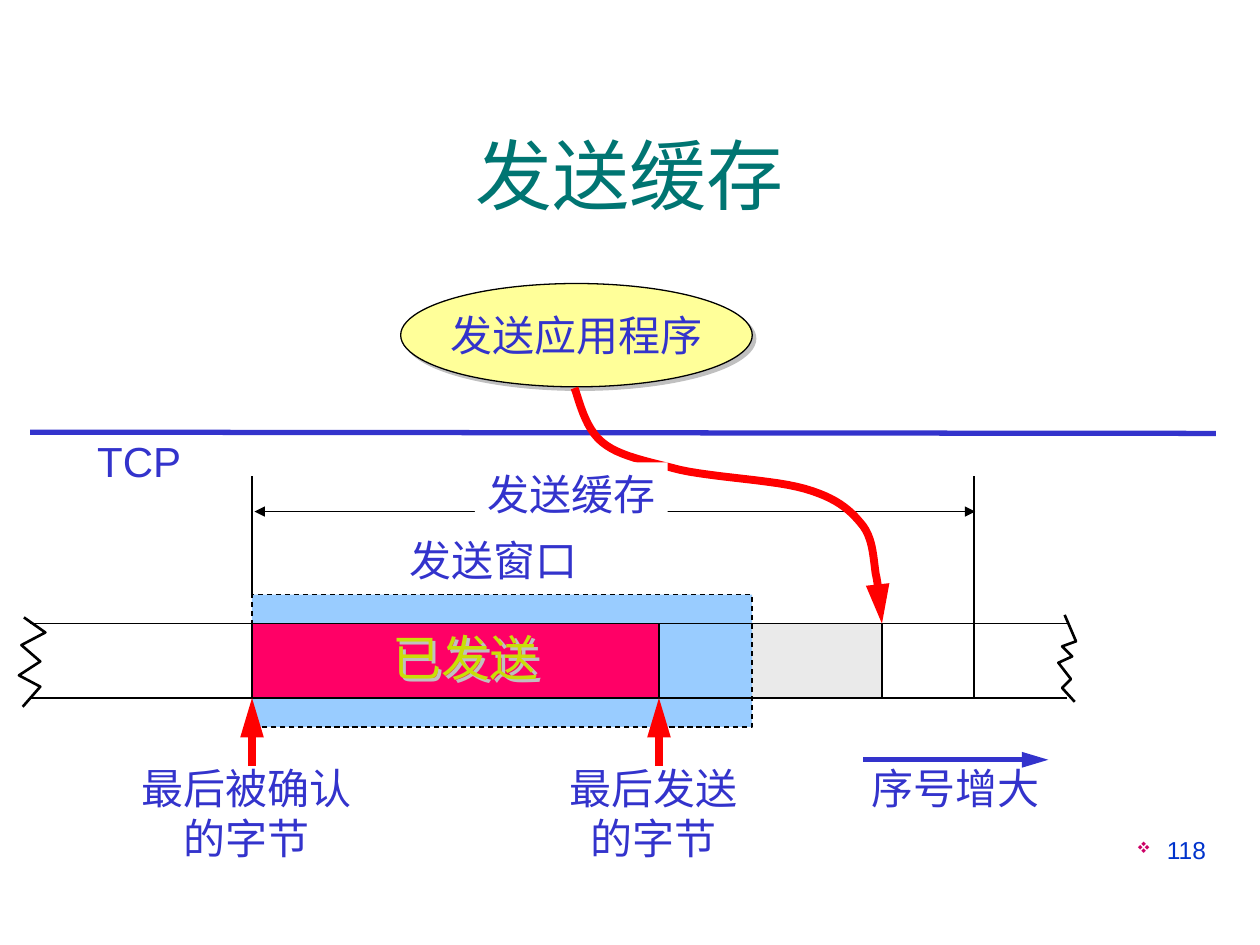
from lxml.etree import SubElement
from pptx import Presentation
from pptx.dml.color import RGBColor
from pptx.enum.dml import MSO_LINE
from pptx.enum.shapes import MSO_CONNECTOR, MSO_SHAPE
from pptx.enum.text import MSO_ANCHOR, PP_ALIGN
from pptx.oxml import parse_xml
from pptx.oxml.ns import nsdecls, qn
from pptx.util import Inches, Pt

BLUE, RED, BLACK = "3333CC", "FF0000", "000000"
SHADOW = (f'<a:effectLst {nsdecls("a")}><a:outerShdw dist="35560" dir="2700000" algn="ctr">'
          '<a:srgbClr val="C0C0C0"/></a:outerShdw></a:effectLst>')


def style_line(shape, color, width, arrows=()):
    """Set the outline; arrows holds "headEnd" (start) and/or "tailEnd" (end)."""
    shape.line.color.rgb = RGBColor.from_string(color)
    shape.line.width = Pt(width)
    length = "lg" if width > 1 else "med"
    for end in arrows:
        SubElement(shape.line._get_or_add_ln(), qn(f"a:{end}"), type="triangle", w="med", len=length)


def write(shape, text, size=24, color=BLUE, align=PP_ALIGN.CENTER, anchor=MSO_ANCHOR.TOP, wrap=False):
    frame = shape.text_frame
    frame.text = text
    frame.word_wrap = wrap
    frame.vertical_anchor = anchor
    for paragraph in frame.paragraphs:
        paragraph.alignment = align
        font = paragraph.runs[0].font
        font.name = "Arial"
        font.size = Pt(size)
        font.color.rgb = RGBColor.from_string(color)


presentation = Presentation()
presentation.slide_width, presentation.slide_height = Inches(10), Inches(7.5)
slide = presentation.slides.add_slide(presentation.slide_layouts[6])
shapes = slide.shapes

# Byte stream positions
acked, sent, window_end, written, buffer_end = 2, 5.23, 5.97, 7, 7.73
top, bottom = 4.95, 5.54
height = bottom - top

# Filled areas
areas = {}
for name, kind, left, y, width, area_height, fill, outlined in [
    ("written", MSO_SHAPE.RECTANGLE, sent, top, written - sent, height, "EAEAEA", False),
    ("application", MSO_SHAPE.OVAL, 3.18, 2.25, 2.79, 0.82, "FFFF99", True),
    ("window", MSO_SHAPE.RECTANGLE, acked, 4.72, window_end - acked, 1.05, "99CCFF", True),
    ("sent", MSO_SHAPE.RECTANGLE, acked, top, sent - acked, height, "FF0066", False),
]:
    shape = shapes.add_shape(kind, Inches(left), Inches(y), Inches(width), Inches(area_height))
    shape.shadow.inherit = False
    shape.fill.solid()
    shape.fill.fore_color.rgb = RGBColor.from_string(fill)
    if outlined:
        style_line(shape, BLACK, 0.75)
    else:
        shape.line.fill.background()
    areas[name] = shape

areas["window"].line.dash_style = MSO_LINE.DASH
write(areas["application"], "发送应用程序", anchor=MSO_ANCHOR.MIDDLE)
properties = areas["application"]._element.spPr
properties.remove(properties.find(qn("a:effectLst")))
properties.append(parse_xml(SHADOW))

# Straight lines and arrows
for x1, y1, x2, y2, color, width, arrows in [
    (0.24, 3.43, 9.65, 3.44, BLUE, 3, ()),
    (2.02, 4.06, 7.74, 4.06, BLACK, 0.75, ("headEnd", "tailEnd")),
    (0.24, top, 8.47, top, BLACK, 0.75, ()),
    (0.24, bottom, 8.47, bottom, BLACK, 0.75, ()),
    (acked, top, acked, bottom, BLACK, 0.75, ()),
    (sent, top, sent, bottom, BLACK, 0.75, ()),
    (written, top, written, bottom, BLACK, 0.75, ()),
    (acked, 3.78, acked, 4.72, BLACK, 0.75, ()),
    (buffer_end, 3.78, buffer_end, bottom, BLACK, 0.75, ()),
    (acked, 6.08, acked, bottom, RED, 4.5, ("tailEnd",)),
    (sent, 6.08, sent, bottom, RED, 4.5, ("tailEnd",)),
    (6.85, 6.03, 8.32, 6.03, BLUE, 3, ("tailEnd",)),
]:
    connector = shapes.add_connector(
        MSO_CONNECTOR.STRAIGHT, Inches(x1), Inches(y1), Inches(x2), Inches(y2))
    style_line(connector, color, width, arrows)
    SubElement(connector._element.spPr, qn("a:effectLst"))

# Curved arrow from the application into the buffer, sampled from Bezier segments
curve = [(4.56, 3.08)]
for control_1, control_2, end in [
    ((4.59, 3.15), (4.64, 3.4), (4.78, 3.51)),
    ((4.91, 3.62), (5.13, 3.66), (5.4, 3.73)),
    ((5.67, 3.79), (6.15, 3.81), (6.39, 3.88)),
    ((6.63, 3.95), (6.74, 4.04), (6.83, 4.15)),
    ((6.93, 4.26), (6.93, 4.42), (6.95, 4.55)),
    ((6.98, 4.69), (6.99, 4.87), (written, top)),
]:
    start = curve[-1]
    for step in range(1, 13):
        t = step / 12
        weights = ((1 - t) ** 3, 3 * t * (1 - t) ** 2, 3 * t * t * (1 - t), t ** 3)
        corners = (start, control_1, control_2, end)
        curve.append(tuple(sum(w * c[axis] for w, c in zip(weights, corners)) for axis in (0, 1)))

right_break = [(8.45, 4.88), (8.54, 5.09), (8.43, 5.13), (8.51, 5.21),
               (8.4, 5.26), (8.5, 5.39), (8.43, 5.46), (8.53, 5.57)]
left_break = [(0.19, 4.9), (0.36, 5.02), (0.17, 5.12), (0.32, 5.25),
              (0.15, 5.36), (0.32, 5.45), (0.18, 5.61)]
for points, color, width, arrows in [
    (curve, RED, 4.5, ("tailEnd",)),
    (right_break, BLACK, 1.5, ()),
    (left_break, BLACK, 1.5, ()),
]:
    vertices = [(Inches(x), Inches(y)) for x, y in points]
    builder = shapes.build_freeform(*vertices[0])
    builder.add_line_segments(vertices[1:], close=False)
    outline = builder.convert_to_shape()
    outline.shadow.inherit = False
    outline.fill.background()
    style_line(outline, color, width, arrows)

# Labels
labels = {}
for name, text, left, y, width, label_height, formats in [
    ("buffer", "发送缓存", 3.77, 3.67, 1.53, 0.5, {}),
    ("window", "发送窗口", 3.15, 4.19, 1.53, 0.5, {}),
    ("sent", "已发送", 3.01, 4.93, 1.37, 0.57, {"size": 28, "color": "C9DE06"}),
    ("last acked", "最后被确认\n的字节", 1.02, 6, 1.87, 0.9, {}),
    ("last sent", "最后发送\n的字节", 4.42, 6, 1.53, 0.9, {}),
    ("protocol", "TCP", 0.67, 3.41, 0.87, 0.5, {}),
    ("sequence", "序号增大", 6.82, 6, 1.53, 0.5, {}),
    ("number", "118", 7.17, 6.58, 2.5, 0.52,
     {"size": 14, "color": "0033CC", "align": PP_ALIGN.RIGHT, "wrap": True}),
    ("title", "发送缓存", 0.33, 0.75, 9.34, 1.25,
     {"size": 44, "color": "007572", "anchor": MSO_ANCHOR.MIDDLE, "wrap": True}),
]:
    label = shapes.add_textbox(Inches(left), Inches(y), Inches(width), Inches(label_height))
    write(label, text, **formats)
    labels[name] = label

# The buffer label interrupts its dimension line
labels["buffer"].fill.solid()
labels["buffer"].fill.fore_color.rgb = RGBColor.from_string("FFFFFF")

# Without a fill, the shadow falls from the text itself
labels["sent"]._element.spPr.append(parse_xml(SHADOW))

bullet = labels["number"].text_frame.paragraphs[0]._p.get_or_add_pPr()
bullet.set("marL", str(Inches(0.24)))
bullet.set("indent", str(-Inches(0.24)))
SubElement(SubElement(bullet, qn("a:buClr")), qn("a:srgbClr"), val="CC0066")
SubElement(bullet, qn("a:buSzPct"), val="65000")
SubElement(bullet, qn("a:buFont"), typeface="Wingdings", pitchFamily="2", charset="2")
SubElement(bullet, qn("a:buChar"), char="v")

presentation.save("out.pptx")
